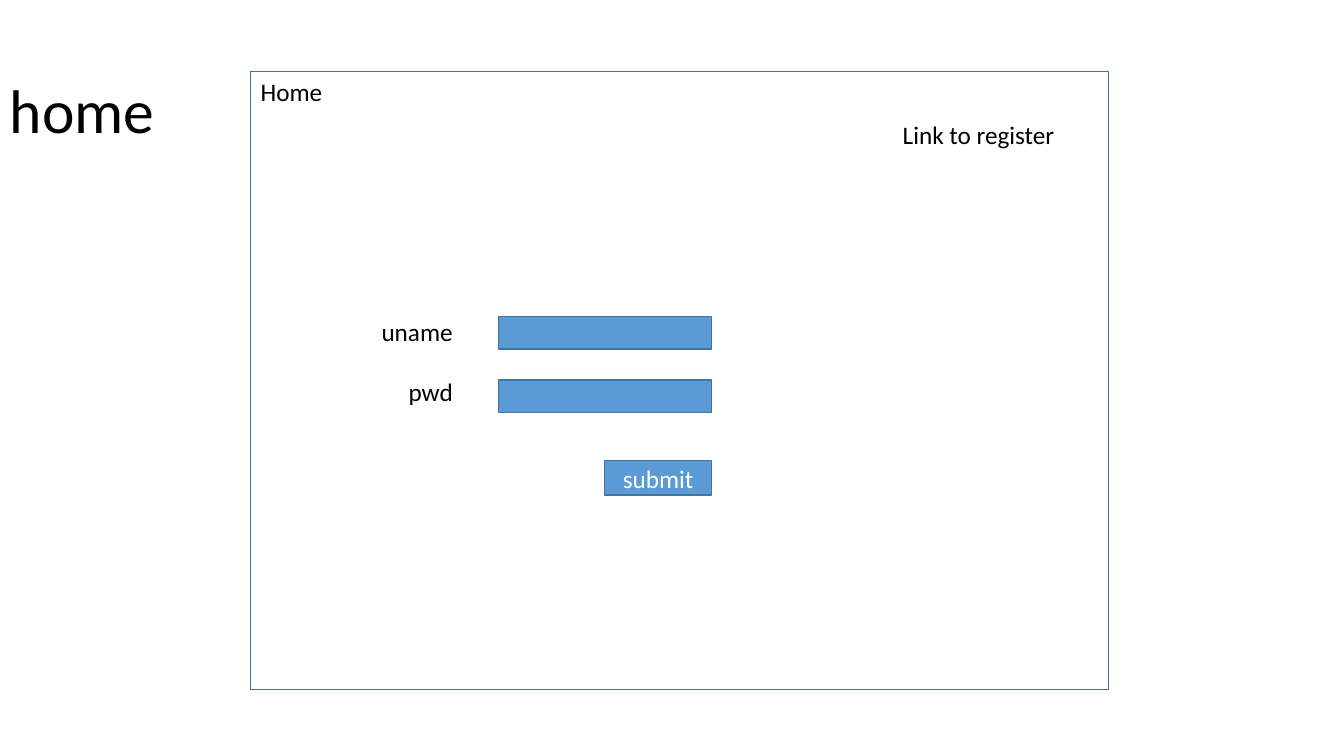
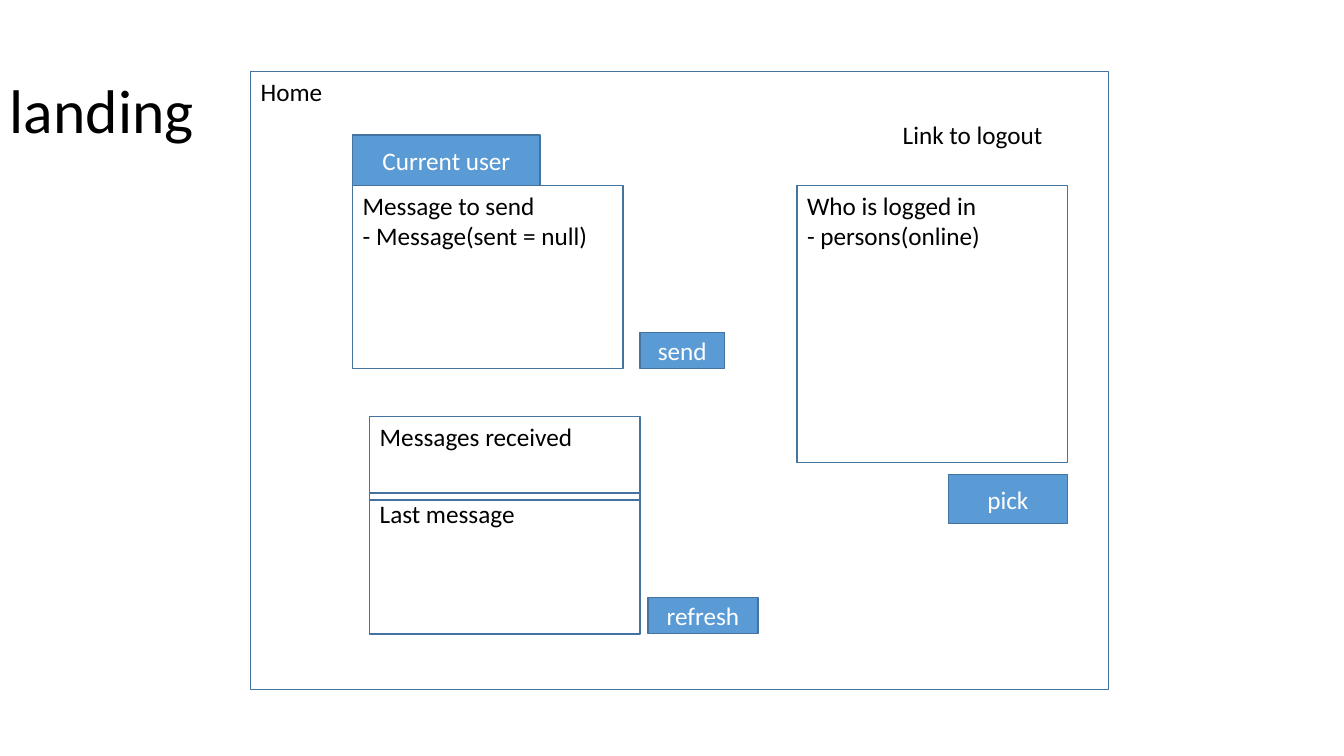
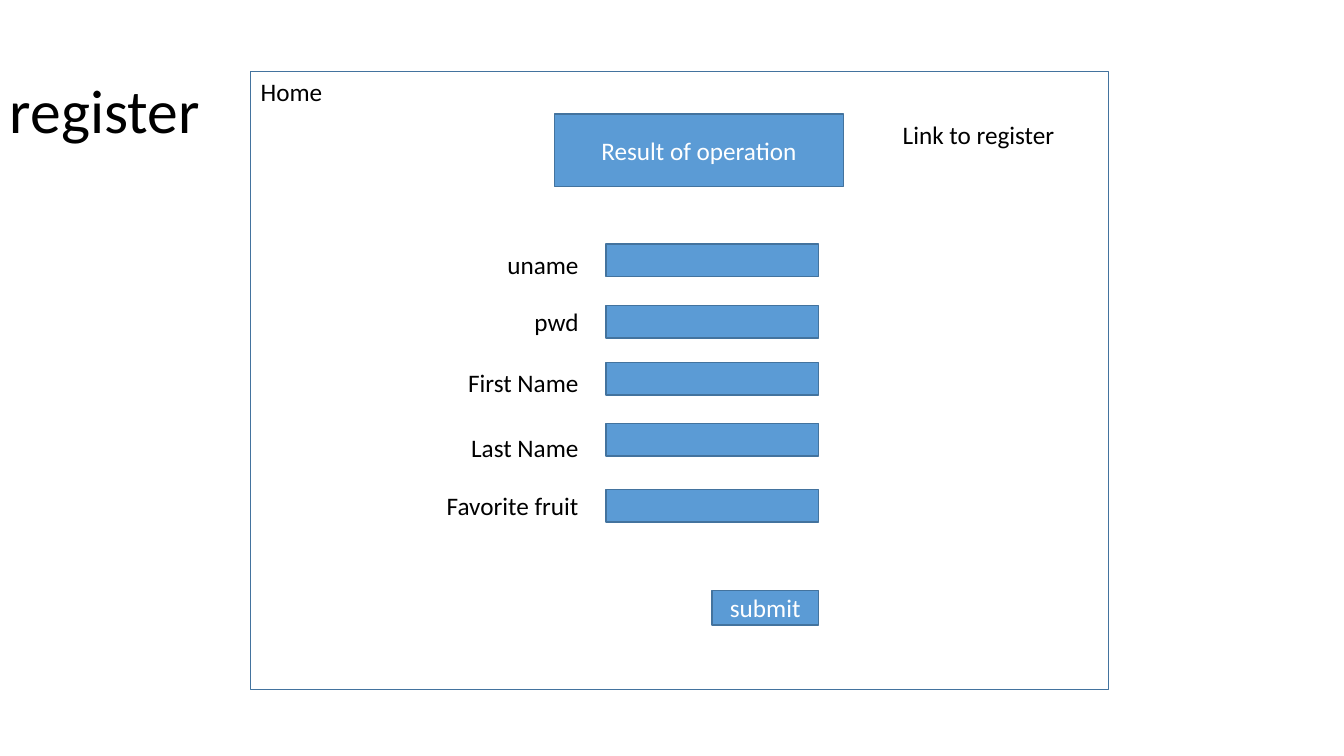
from dataclasses import dataclass

from pptx import Presentation
from pptx.dml.color import RGBColor
from pptx.enum.shapes import MSO_SHAPE
from pptx.enum.text import MSO_ANCHOR, PP_ALIGN
from pptx.util import Cm, Pt


@dataclass(frozen=True)
class Theme:
    font: str = "Calibri"
    title: int = 44
    body: int = 18
    text: str = "000000"
    light: str = "FFFFFF"
    fill: str = "5B9BD5"
    line: str = "43739E"


T = Theme()

SCREENS = [
    {
        "title": "home",
        "link": "Link to register",
        "form": {
            "left": 12.57,
            "gap": 0.91,
            "fields": [("uname", 7.85, 7.98), ("pwd", 9.37, 9.58)],
            "submit": 11.61,
        },
    },
    {
        "title": "landing",
        "link": "Link to logout",
        "panels": [
            (["Who is logged in", "- persons(online)"], 20.09, 4.67, 6.99),
            (["Message to send", "- Message(sent = null)"], 8.89, 4.67, 4.62),
            (["Last message"], 9.32, 12.42, 3.56),
            (["Messages received"], 9.32, 10.49, 2.11),
        ],
        "buttons": [
            ("send", 16.13, 8.38, 2.13, 0.91),
            ("refresh", 16.33, 15.06, 2.77, 0.91),
            ("Current user", 8.89, 3.4, 4.72, 1.27),
            ("pick", 23.9, 11.96, 3, 1.24),
        ],
    },
    {
        "title": "register",
        "link": "Link to register",
        "form": {
            "left": 15.27,
            "gap": 0.44,
            "fields": [
                ("uname", 6.15, 6.15),
                ("pwd", 7.59, 7.7),
                ("First Name", 9.14, 9.14),
                ("Last Name", 10.77, 10.67),
                ("Favorite fruit", 12.22, 12.34),
            ],
            "submit": 14.88,
        },
        "buttons": [("Result of operation", 13.97, 2.87, 7.29, 1.83)],
    },
]

FRAME = (6.32, 1.8, 21.62, 15.57)
TITLE = (0, 1.02, 29.21, 3.68)
LINK = (22.5, 2.87, 4.6, 1.02)
LABEL_W, LABEL_H = 4.2, 1.02
FIELD_W, FIELD_H = 5.36, 0.82
SUBMIT_W, SUBMIT_H = 2.69, 0.87
PANEL_W = 6.81


def write(sp, lines, size=T.body, color=T.text, align=PP_ALIGN.LEFT,
          anchor=MSO_ANCHOR.TOP, spacing=1.0):
    tf = sp.text_frame
    tf.word_wrap = True
    tf.vertical_anchor = anchor
    for i, line in enumerate(lines):
        p = tf.add_paragraph() if i else tf.paragraphs[0]
        r = p.add_run()
        r.text = line
        for name, value in {"alignment": align, "line_spacing": spacing}.items():
            setattr(p, name, value)
        for name, value in {"name": T.font, "size": Pt(size)}.items():
            setattr(r.font, name, value)
        r.font.color.rgb = RGBColor.from_string(color)


def add_text(s, text, box, **style):
    write(s.shapes.add_textbox(*map(Cm, box)), [text], **style)


def add_box(s, box, fill=None):
    sp = s.shapes.add_shape(MSO_SHAPE.RECTANGLE, *map(Cm, box))
    sp.shadow.inherit = False
    sp.line.color.rgb = RGBColor.from_string(T.line)
    sp.line.width = Pt(1)
    if fill:
        sp.fill.solid()
        sp.fill.fore_color.rgb = RGBColor.from_string(fill)
    else:
        sp.fill.background()
    return sp


def add_panel(s, lines, box):
    write(add_box(s, box), lines)


def add_button(s, text, box):
    write(add_box(s, box, T.fill), [text], color=T.light,
          align=PP_ALIGN.CENTER, anchor=MSO_ANCHOR.MIDDLE)


def add_form(s, left, gap, fields, submit):
    for label, label_top, field_top in fields:
        add_text(s, label, (left - gap - LABEL_W, label_top, LABEL_W, LABEL_H),
                 align=PP_ALIGN.RIGHT)
        add_box(s, (left, field_top, FIELD_W, FIELD_H), T.fill)
    add_button(s, "submit",
               (left + FIELD_W - SUBMIT_W, submit, SUBMIT_W, SUBMIT_H))


def add_screen(prs, screen):
    s = prs.slides.add_slide(prs.slide_layouts[6])
    add_text(s, screen["title"], TITLE, size=T.title,
             anchor=MSO_ANCHOR.MIDDLE, spacing=0.9)
    add_panel(s, ["Home"], FRAME)
    add_text(s, screen["link"], LINK)
    if "form" in screen:
        add_form(s, **screen["form"])
    for lines, left, top, height in screen.get("panels", []):
        add_panel(s, lines, (left, top, PANEL_W, height))
    for text, *box in screen.get("buttons", []):
        add_button(s, text, box)


def main():
    prs = Presentation()
    prs.slide_width, prs.slide_height = Cm(33.87), Cm(19.05)
    for screen in SCREENS:
        add_screen(prs, screen)
    prs.save("out.pptx")


if __name__ == "__main__":
    main()
